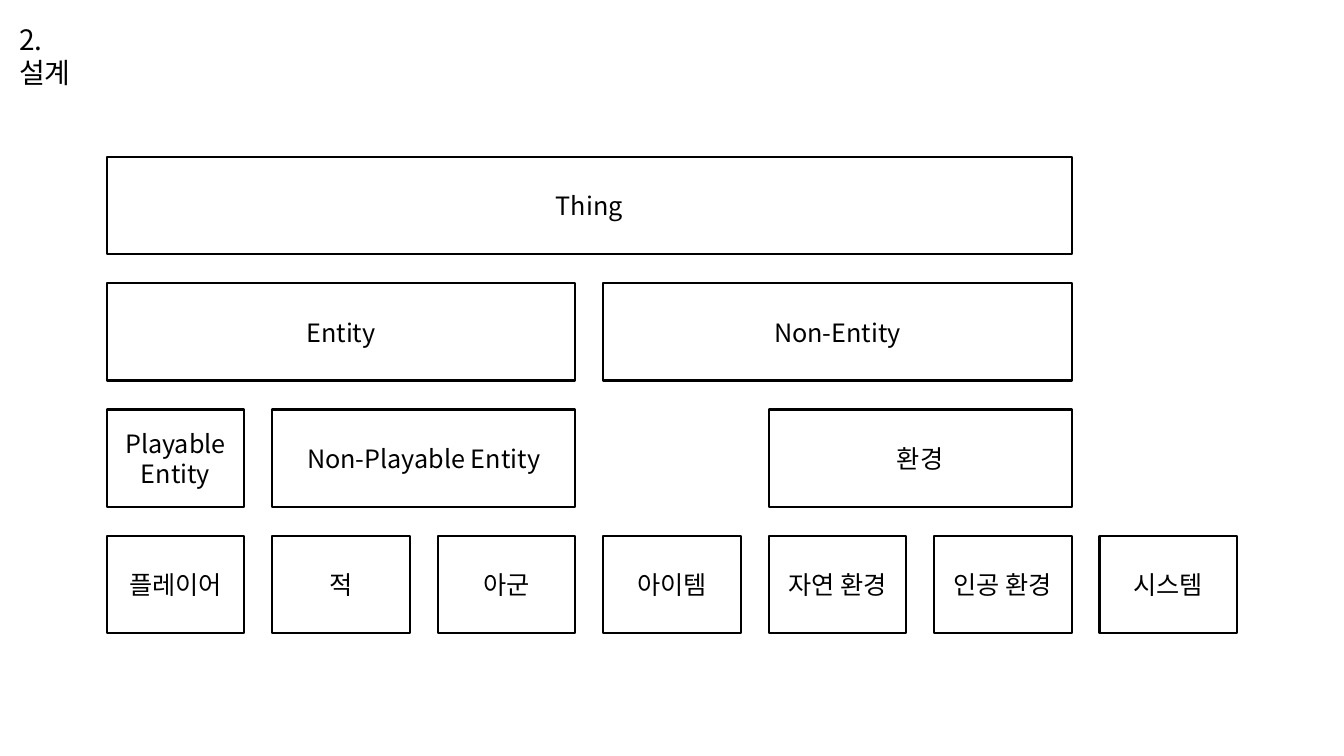
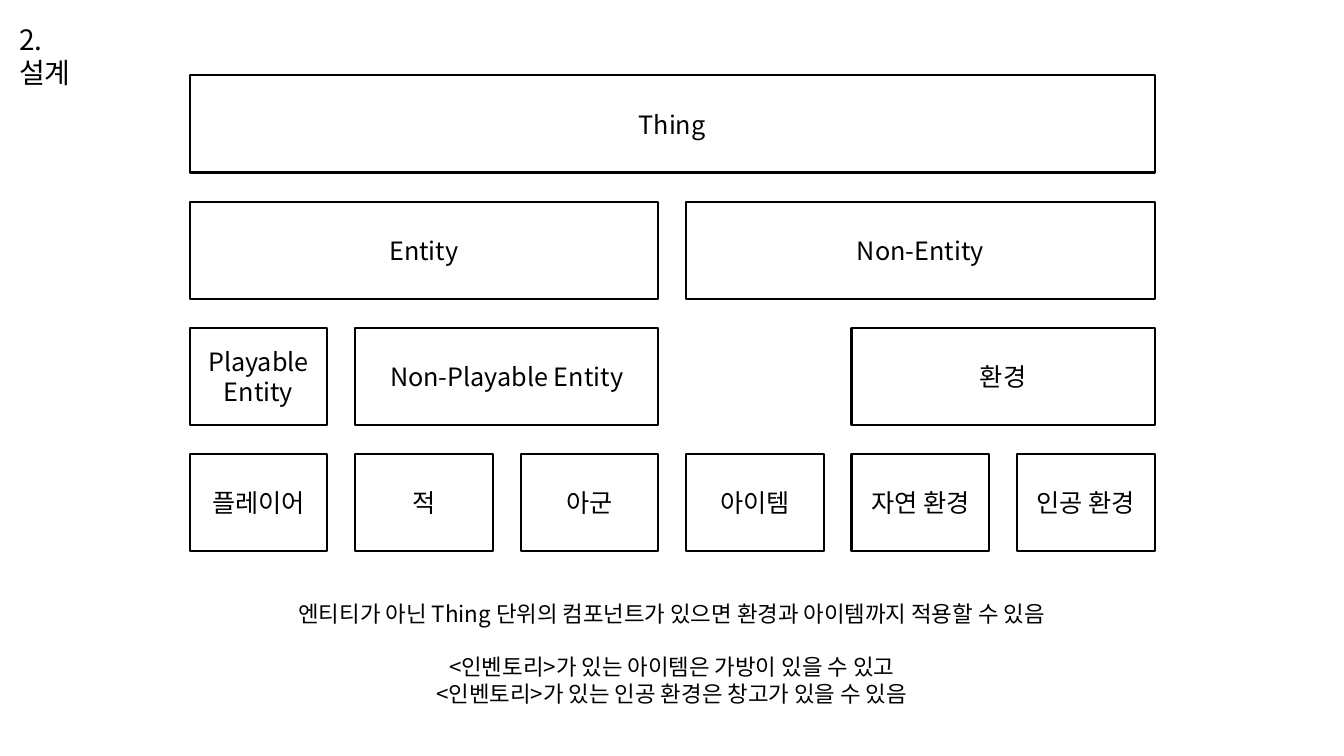
"""Build two slides showing a class hierarchy as a grid of boxes."""
from dataclasses import dataclass

import lxml.etree
import pptx
import pptx.dml.color
import pptx.enum.shapes
import pptx.enum.text
import pptx.oxml.ns
import pptx.util

Cm = pptx.util.Cm
Pt = pptx.util.Pt
ALIGN = pptx.enum.text.PP_ALIGN

COLORS = {"ink": "000000", "paper": "FFFFFF"}
FONT = "Noto Sans CJK KR"
TITLE = "2. 설계"
COLUMN_PITCH, ROW_PITCH = 4.17, 3.18
CELL_WIDTH, CELL_HEIGHT = 3.47, 2.45


@dataclass(frozen=True)
class Node:
    lines: tuple[str, ...]
    row: int
    column: int
    span: int = 1


@dataclass(frozen=True)
class Line:
    text: str
    space_before: float = 0


HIERARCHY = (
    Node(("Thing",), 0, 0, 6),
    Node(("Entity",), 1, 0, 3),
    Node(("Non-Entity",), 1, 3, 3),
    Node(("Playable", "Entity"), 2, 0),
    Node(("Non-Playable Entity",), 2, 1, 2),
    Node(("환경",), 2, 4, 2),
    *(
        Node((name,), 3, column)
        for column, name in enumerate(("플레이어", "적", "아군", "아이템", "자연 환경", "인공 환경"))
    ),
)
SYSTEM = Node(("시스템",), 3, 6)
NOTES = (
    Line("엔티티가 아닌 Thing 단위의 컴포넌트가 있으면 환경과 아이템까지 적용할 수 있음"),
    Line("<인벤토리>가 있는 아이템은 가방이 있을 수 있고", 19),
    Line("<인벤토리>가 있는 인공 환경은 창고가 있을 수 있음"),
)


def color(name: str) -> pptx.dml.color.RGBColor:
    return pptx.dml.color.RGBColor.from_string(COLORS[name])


def write(frame, lines: tuple[Line, ...], size: float, align) -> None:
    frame.word_wrap = True
    for index, line in enumerate(lines):
        para = frame.add_paragraph() if index else frame.paragraphs[0]
        para.alignment = align
        para.space_before = Pt(line.space_before)
        span = para.add_run()
        span.text = line.text
        span.font.size = Pt(size)
        span.font.name = FONT
        span.font.color.rgb = color("ink")
        east_asian = lxml.etree.SubElement(span.font._element, pptx.oxml.ns.qn("a:ea"))
        east_asian.set("typeface", FONT)


def add_text(page, left: float, top: float, width: float, height: float,
             lines: tuple[Line, ...], size: float, align) -> None:
    box = page.shapes.add_textbox(Cm(left), Cm(top), Cm(width), Cm(height))
    write(box.text_frame, lines, size, align)


def add_node(shapes, node: Node, left: float, top: float) -> None:
    box = shapes.add_shape(
        pptx.enum.shapes.MSO_SHAPE.RECTANGLE,
        Cm(left + node.column * COLUMN_PITCH),
        Cm(top + node.row * ROW_PITCH),
        Cm((node.span - 1) * COLUMN_PITCH + CELL_WIDTH),
        Cm(CELL_HEIGHT),
    )
    box.shadow.inherit = False
    box.fill.solid()
    box.fill.fore_color.rgb = color("paper")
    box.line.color.rgb = color("ink")
    box.line.width = Pt(1.5)
    box.text_frame.vertical_anchor = pptx.enum.text.MSO_ANCHOR.MIDDLE
    write(box.text_frame, tuple(Line(text) for text in node.lines), 18, ALIGN.CENTER)


def add_page(deck, nodes: tuple[Node, ...], left: float, top: float):
    page = deck.slides.add_slide(deck.slide_layouts[6])
    add_text(page, 0.23, 0.43, 2.4, 1.12, (Line(TITLE),), 20, ALIGN.LEFT)
    diagram = page.shapes.add_group_shape()
    for node in nodes:
        add_node(diagram.shapes, node, left, top)
    return page


def main() -> None:
    deck = pptx.Presentation()
    deck.slide_width, deck.slide_height = Cm(33.87), Cm(19.05)
    add_page(deck, (*HIERARCHY, SYSTEM), 2.69, 3.96)
    page = add_page(deck, HIERARCHY, 4.78, 1.9)
    add_text(page, 7.24, 14.99, 19.38, 3, NOTES, 16, ALIGN.CENTER)
    deck.save("out.pptx")


if __name__ == "__main__":
    main()
